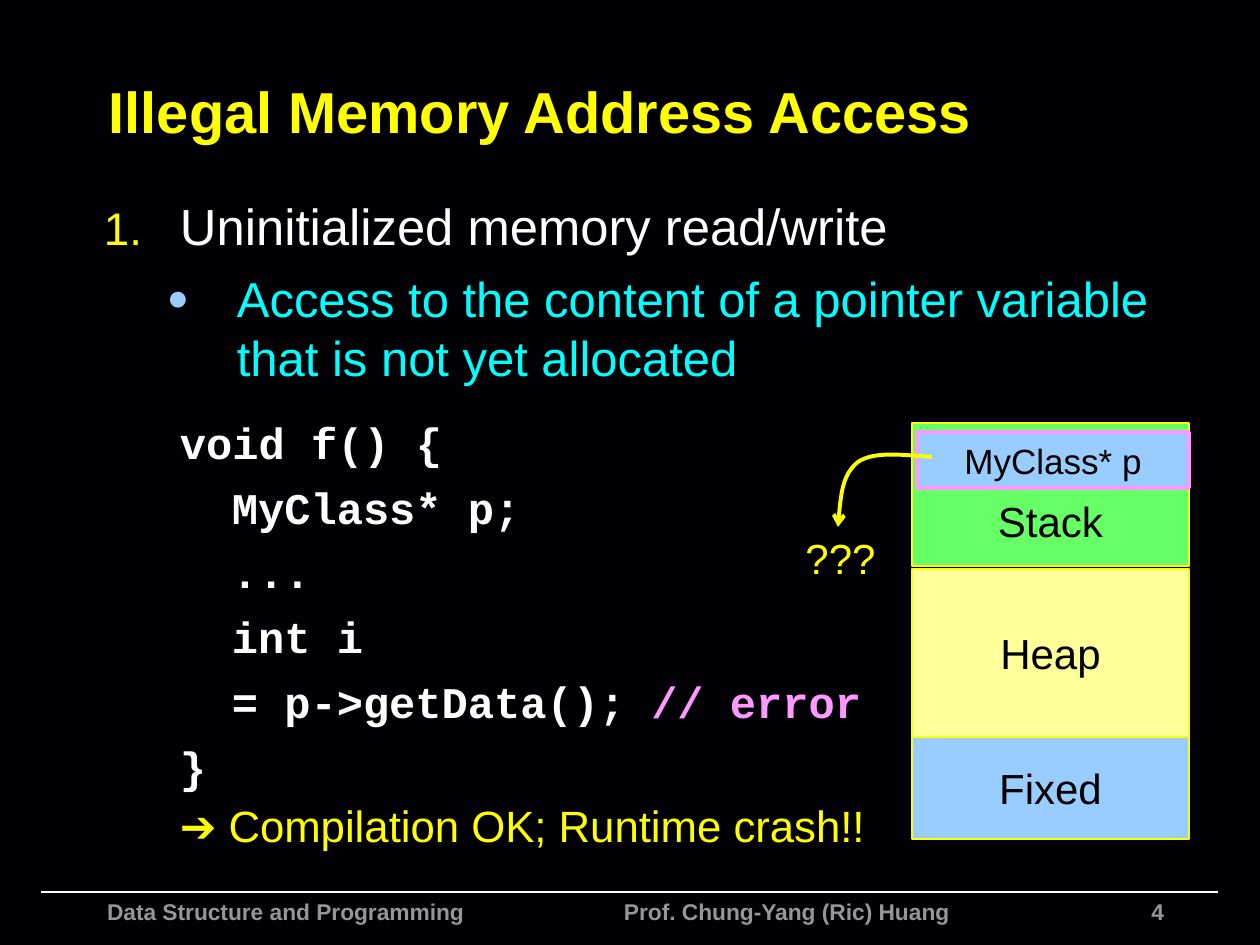
from lxml import etree
from pptx import Presentation
from pptx import util as u
from pptx.dml.color import RGBColor
from pptx.enum import shapes, text
from pptx.oxml.ns import qn

HUES = {
    "back": "010004", "white": "FFFFFF", "grey": "969696", "black": "000000",
    "yellow": "FFFF00", "cyan": "00FFFF", "blue": "99CCFF", "pink": "FF99FF",
    "green": "66FF66", "cream": "FFFF99",
}
LEFT, MID, RIGHT = text.PP_ALIGN.LEFT, text.PP_ALIGN.CENTER, text.PP_ALIGN.RIGHT
TOP, CORE, BASE = text.MSO_ANCHOR.TOP, text.MSO_ANCHOR.MIDDLE, text.MSO_ANCHOR.BOTTOM


def px(n):
    return u.Emu(round(n * 914400 / 126))


def hue(name):
    return RGBColor.from_string(HUES[name])


def apply(item, opts):
    for key, val in opts.items():
        setattr(item, key, val)


def sub(node, tag, **attrs):
    return etree.SubElement(node, qn(tag), attrs)


def add_run(para, words, size, color, bold=False, face="Arial"):
    run = para.add_run()
    run.text = words
    apply(run.font, {"size": u.Pt(size), "bold": bold, "name": face})
    run.font.color.rgb = hue(color)


def set_frame(frame, side, edge, anchor=TOP, wrap=True):
    apply(frame, {
        "margin_left": px(side), "margin_right": px(side),
        "margin_top": px(edge), "margin_bottom": px(edge),
        "vertical_anchor": anchor, "word_wrap": wrap,
    })


def add_text(slide, box, words, size, color, bold=True, align=LEFT,
             anchor=TOP, side=13, wrap=True):
    frame = slide.shapes.add_textbox(*map(px, box)).text_frame
    set_frame(frame, side, 6, anchor, wrap)
    para = frame.paragraphs[0]
    para.alignment = align
    add_run(para, words, size, color, bold)
    return para


def set_line(line, color, width):
    line.color.rgb = hue(color)
    line.width = u.Pt(width)


def add_block(group, box, words, fill, edge="yellow", width=1, size=24):
    block = group.add_shape(shapes.MSO_SHAPE.RECTANGLE, *map(px, box))
    block.shadow.inherit = False
    block.fill.solid()
    block.fill.fore_color.rgb = hue(fill)
    set_line(block.line, edge, width)
    set_frame(block.text_frame, 6, 6, CORE, False)
    para = block.text_frame.paragraphs[0]
    para.alignment = MID
    add_run(para, words, size, "black")
    return block


def add_para(frame, gap, left, hang=0):
    """Start a paragraph; the first one of the frame is reused."""
    para = frame.paragraphs[0]
    if para.runs:
        para = frame.add_paragraph()
    para.space_before = u.Pt(gap)
    props = para._p.get_or_add_pPr()
    props.set("marL", str(px(left)))
    props.set("indent", str(-px(hang)))
    return para


def set_bullet(para, color, scale, tag, **attrs):
    props = para._p.get_or_add_pPr()
    sub(sub(props, "a:buClr"), "a:srgbClr", val=HUES[color])
    sub(props, "a:buSzPct", val=str(scale * 1000))
    sub(props, "a:buFont", typeface="Arial")
    sub(props, tag, **attrs)


def add_body(slide):
    frame = slide.shapes.add_textbox(*map(px, (91, 189, 1071, 675))).text_frame
    set_frame(frame, 13, 6)

    para = add_para(frame, 4, 76, 76)
    set_bullet(para, "yellow", 90, "a:buAutoNum", type="arabicPeriod")
    add_run(para, "Uninitialized memory read/write", 29, "white")

    para = add_para(frame, 7, 133, 70)
    set_bullet(para, "blue", 75, "a:buChar", char="●")
    add_run(para, "Access to the content of a pointer variable "
            "that is not yet allocated", 28, "cyan")

    code = [
        (0, 17, "void f() {", ""), (1, 7, "MyClass* p;", ""), (1, 7, "...", ""),
        (1, 7, "int i", ""), (1, 7, "= p->getData(); ", "// error"), (0, 7, "}", ""),
    ]
    for depth, gap, words, note in code:
        para = add_para(frame, gap, 76 + 52 * depth)
        add_run(para, words, 25, "white", True, "Courier New")
        if note:
            add_run(para, note, 25, "pink", True, "Courier New")

    para = add_para(frame, 4, 76)
    add_run(para, "➔ Compilation OK; Runtime crash!!", 25, "yellow")


def add_memory(slide):
    group = slide.shapes.add_group_shape().shapes
    stack = add_block(group, (912, 423, 277, 143), "Stack", "green")
    apply(stack.text_frame, {"vertical_anchor": BASE, "margin_bottom": px(20)})
    add_block(group, (912, 569, 277, 168), "Heap", "cream")
    add_block(group, (912, 737, 277, 102), "Fixed", "blue")
    add_block(slide.shapes, (917, 432, 272, 56), "MyClass* p", "blue",
              "pink", 2.25, 20)


def add_curve(slide, start, *points):
    """Draw cubic curves, three points each, with an arrow at the end."""
    pen = slide.shapes.build_freeform(*map(px, start), scale=1.0)
    pen.add_line_segments([tuple(map(px, p)) for p in points], close=False)
    curve = pen.convert_to_shape()
    curve.shadow.inherit = False
    curve.fill.background()
    set_line(curve.line, "yellow", 2.25)
    sub(curve.line._get_or_add_ln(), "a:tailEnd", type="arrow")
    steps = list(curve._element.iter(qn("a:lnTo")))
    for i in range(0, len(steps), 3):
        bend = etree.Element(qn("a:cubicBezTo"))
        steps[i].addprevious(bend)
        for step in steps[i:i + 3]:
            bend.append(step[0])
            step.getparent().remove(step)


def add_footer(slide):
    rule = slide.shapes.add_connector(
        shapes.MSO_CONNECTOR.STRAIGHT, *map(px, (41, 892, 1218, 892)))
    set_line(rule.line, "white", 1)
    sub(rule._element.spPr, "a:effectLst")
    add_text(slide, (777, 892, 400, 23), "4", 13, "grey", align=RIGHT)
    para = add_text(slide, (94, 892, 912, 53), "Data Structure and Programming"
                    "\tProf. Chung-Yang (Ric) Huang", 13, "grey")
    tabs = sub(para._p.get_or_add_pPr(), "a:tabLst")
    sub(tabs, "a:tab", pos=str(px(517)), algn="l")


def main():
    deck = Presentation()
    apply(deck, {"slide_width": px(1260), "slide_height": px(945)})
    slide = deck.slides.add_slide(deck.slide_layouts[6])
    slide.background.fill.solid()
    slide.background.fill.fore_color.rgb = hue("back")
    add_footer(slide)
    add_text(slide, (96, 47, 1114, 127), "Illegal Memory Address Access",
             33, "yellow", anchor=CORE)
    add_body(slide)
    add_memory(slide)
    add_curve(slide, (932, 457), (903, 455), (874, 451), (858, 462),
              (843, 474), (840, 500), (838, 527))
    add_text(slide, (799, 527, 83, 63), "???", 24, "yellow", False, MID,
             side=6, wrap=False)
    deck.save("out.pptx")


if __name__ == "__main__":
    main()
